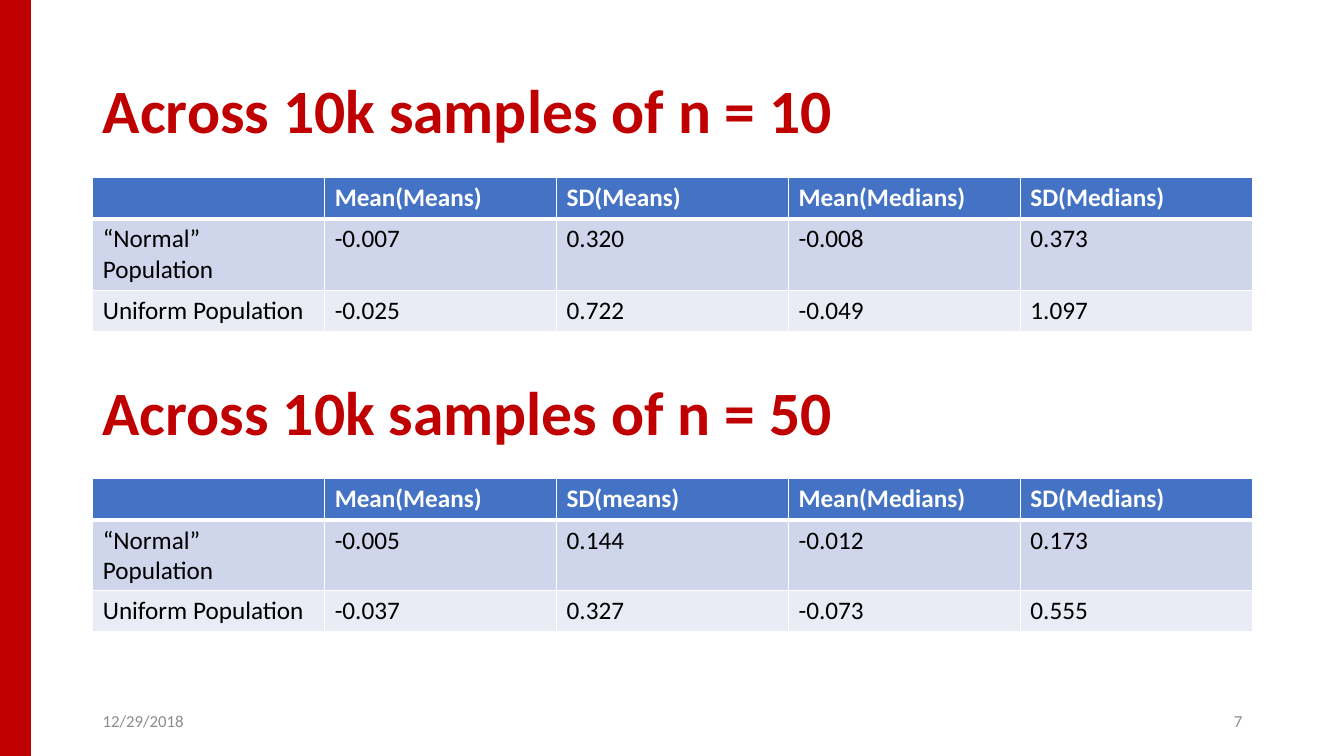
import dataclasses

import lxml.etree
import pptx
import pptx.dml.color
import pptx.enum.shapes
import pptx.enum.text
import pptx.oxml.ns
import pptx.util

Inches = pptx.util.Inches
RGB = pptx.dml.color.RGBColor.from_string
ALIGN = pptx.enum.text.PP_ALIGN


@dataclasses.dataclass(frozen=True)
class Theme:
    font: str = "Calibri"
    red: str = "C00000"
    header: str = "4472C4"
    bands: tuple = ("CFD5EA", "E9EBF5")
    white: str = "FFFFFF"
    black: str = "000000"
    gray: str = "8C8C8C"
    title_size: int = 44
    table_size: int = 18
    footer_size: int = 12


theme = Theme()


def write_text(text_frame, text, size, color, bold=False, **paragraph_format):
    text_frame.word_wrap = True
    paragraph = text_frame.paragraphs[0]
    paragraph.text = text
    for name, value in paragraph_format.items():
        setattr(paragraph, name, value)
    font_format = {"name": theme.font, "size": pptx.util.Pt(size), "bold": bold}
    for name, value in font_format.items():
        setattr(paragraph.font, name, value)
    paragraph.font.color.rgb = RGB(color)


def add_borders(cell, widths):
    """Draw white cell edges; widths maps lnL, lnR, lnT and lnB to points."""
    properties = cell._tc.get_or_add_tcPr()
    for edge, width in widths.items():
        line = lxml.etree.SubElement(
            properties, pptx.oxml.ns.qn(f"a:{edge}"), w=str(pptx.util.Pt(width)))
        fill = lxml.etree.SubElement(line, pptx.oxml.ns.qn("a:solidFill"))
        lxml.etree.SubElement(fill, pptx.oxml.ns.qn("a:srgbClr"), val=theme.white)


presentation = pptx.Presentation()
presentation.slide_width = Inches(13.33)
presentation.slide_height = Inches(7.5)
slide = presentation.slides.add_slide(presentation.slide_layouts[5])

side_bar = slide.shapes.add_shape(
    pptx.enum.shapes.MSO_SHAPE.RECTANGLE, 0, 0, Inches(0.3), Inches(7.5))
side_bar.shadow.inherit = False
side_bar.fill.solid()
side_bar.fill.fore_color.rgb = RGB(theme.red)
side_bar.line.color.rgb = RGB(theme.red)
side_bar.line.width = pptx.util.Pt(1)

left, width = 0.92, 11.5
row_labels = ["“Normal” Population", "Uniform Population"]
sections = [
    ("Across 10k samples of n = 10", 0.4, 1.76,
     ["", "Mean(Means)", "SD(Means)", "Mean(Medians)", "SD(Medians)"],
     [["-0.007", "0.320", "-0.008", "0.373"],
      ["-0.025", "0.722", "-0.049", "1.097"]]),
    ("Across 10k samples of n = 50", 3.4, 4.75,
     ["", "Mean(Means)", "SD(means)", "Mean(Medians)", "SD(Medians)"],
     [["-0.005", "0.144", "-0.012", "0.173"],
      ["-0.037", "0.327", "-0.073", "0.555"]]),
]

for index, (heading, heading_top, table_top, header, values) in enumerate(sections):
    place = {"left": Inches(left), "top": Inches(heading_top),
             "width": Inches(width), "height": Inches(1.45)}
    if index == 0:
        heading_shape = slide.shapes.title
        for name, value in place.items():
            setattr(heading_shape, name, value)
    else:
        heading_shape = slide.shapes.add_textbox(**place)
    heading_shape.text_frame.vertical_anchor = pptx.enum.text.MSO_ANCHOR.MIDDLE
    write_text(heading_shape.text_frame, heading, theme.title_size, theme.red,
               bold=True, alignment=ALIGN.LEFT, line_spacing=0.9)

    rows = [header] + [[label] + line for label, line in zip(row_labels, values)]
    table_frame = slide.shapes.add_table(
        len(rows), len(header), Inches(left), Inches(table_top),
        Inches(width), Inches(1.51))
    table = table_frame.table
    for row_index, texts in enumerate(rows):
        table.rows[row_index].height = Inches(0.41)
        is_header = row_index == 0
        for column_index, text in enumerate(texts):
            cell = table.cell(row_index, column_index)
            add_borders(cell, {"lnL": 1, "lnR": 1,
                               "lnT": 3 if row_index == 1 else 1,
                               "lnB": 3 if is_header else 1})
            cell.fill.solid()
            cell.fill.fore_color.rgb = RGB(
                theme.header if is_header else theme.bands[row_index - 1])
            write_text(cell.text_frame, text, theme.table_size,
                       theme.white if is_header else theme.black, bold=is_header)
    table_frame.height = Inches(1.51)

footers = [("12/29/2018", left, ALIGN.LEFT), ("7", left + width - 3, ALIGN.RIGHT)]
for text, footer_left, alignment in footers:
    footer = slide.shapes.add_textbox(
        Inches(footer_left), Inches(6.95), Inches(3), Inches(0.4))
    footer.text_frame.vertical_anchor = pptx.enum.text.MSO_ANCHOR.MIDDLE
    write_text(footer.text_frame, text, theme.footer_size, theme.gray,
               alignment=alignment)

presentation.save("out.pptx")
